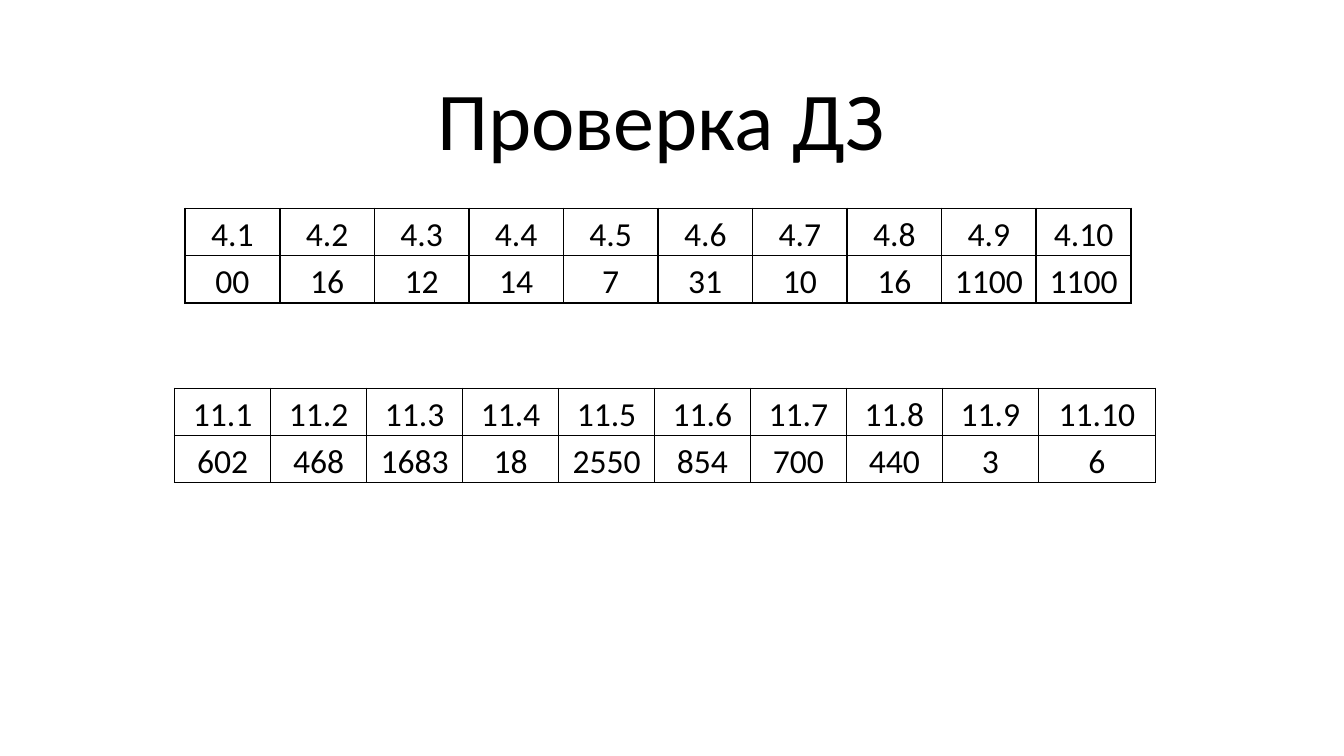
from dataclasses import dataclass

from lxml import etree
from pptx import Presentation
from pptx import util as u
from pptx.dml import color
from pptx.enum import text
from pptx.oxml import ns


@dataclass(frozen=True)
class Theme:
    font: str = "Calibri"
    ink: str = "000000"
    back: str = "FFFFFF"
    title: int = 44
    cell: int = 18
    line: int = 1
    lead: float = 1.15


THEME = Theme()
ROW = 0.89

# Each table: box (left, top, width), width of the last column, rows
TASKS = [
    ((3.5, 3.94, 17.88), 1.79, [
        [f"4.{n}" for n in range(1, 11)],
        ["00", "16", "12", "14", "7", "31", "10", "16", "1100", "1100"],
    ]),
    ((3.3, 7.34, 18.54), 2.21, [
        [f"11.{n}" for n in range(1, 11)],
        ["602", "468", "1683", "18", "2550", "854", "700", "440", "3", "6"],
    ]),
]


def style(para, size):
    para.alignment = text.PP_ALIGN.CENTER
    para.font.name = THEME.font
    para.font.size = u.Pt(size)
    para.font.bold = False
    para.font.color.rgb = color.RGBColor.from_string(THEME.ink)


def border(cell):
    props = cell._tc.get_or_add_tcPr()
    for side in ("lnL", "lnR", "lnT", "lnB"):
        line = etree.SubElement(props, ns.qn(f"a:{side}"), w=str(u.Pt(THEME.line)))
        fill = etree.SubElement(line, ns.qn("a:solidFill"))
        etree.SubElement(fill, ns.qn("a:srgbClr"), val=THEME.ink)


def add_title(slide, box, words):
    title = slide.shapes.title
    title.left, title.top, title.width, title.height = map(u.Cm, box)
    frame = title.text_frame
    frame.text = words
    frame.vertical_anchor = text.MSO_ANCHOR.MIDDLE
    style(frame.paragraphs[0], THEME.title)


def add_grid(slide, box, last, rows):
    left, top, width = box
    count = len(rows[0])
    frame = slide.shapes.add_table(
        len(rows), count, u.Cm(left), u.Cm(top), u.Cm(width), u.Cm(ROW * len(rows)))
    table = frame.table
    table.first_row = table.horz_banding = False

    # Equal columns share what the last one leaves
    for col in table.columns:
        col.width = u.Cm((width - last) / (count - 1))
    table.columns[count - 1].width = u.Cm(last)

    for r, row in enumerate(rows):
        table.rows[r].height = u.Cm(ROW)
        for c, words in enumerate(row):
            cell = table.cell(r, c)
            cell.text = words
            cell.margin_left = cell.margin_right = u.Cm(0.18)
            cell.margin_top = cell.margin_bottom = 0
            para = cell.text_frame.paragraphs[0]
            para.line_spacing = THEME.lead
            style(para, THEME.cell)
            border(cell)
            cell.fill.background()


def main():
    deck = Presentation()
    deck.slide_width, deck.slide_height = u.Cm(25.4), u.Cm(14.29)
    slide = deck.slides.add_slide(deck.slide_layouts[0])
    slide.background.fill.solid()
    slide.background.fill.fore_color.rgb = color.RGBColor.from_string(THEME.back)

    # The subtitle is not used
    sub = slide.placeholders[1].element
    sub.getparent().remove(sub)

    # Heading and answer tables
    add_title(slide, (1.7, 0.69, 21.59, 3.07), "Проверка ДЗ")
    for box, last, rows in TASKS:
        add_grid(slide, box, last, rows)
    deck.save("out.pptx")


if __name__ == "__main__":
    main()
